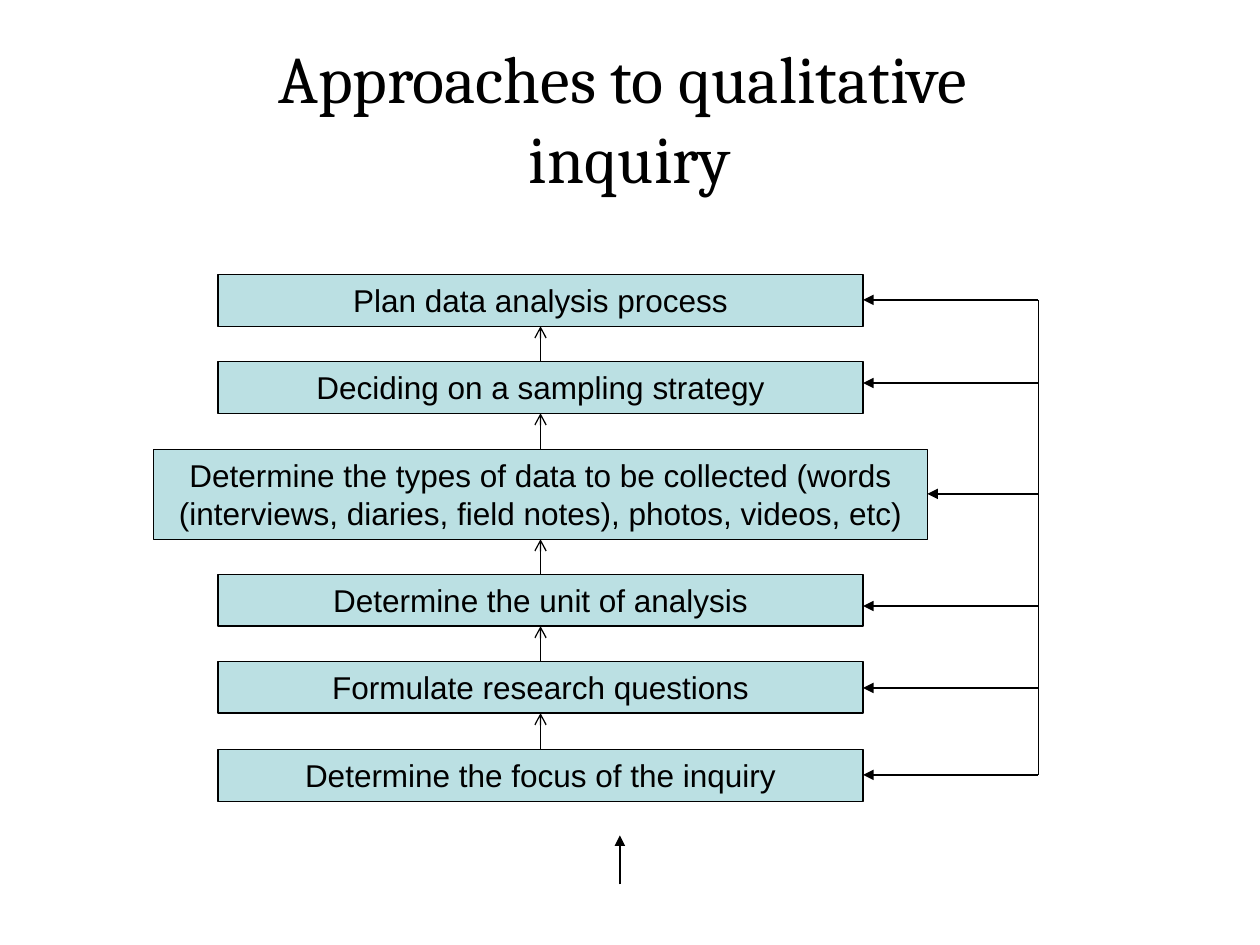
from lxml.etree import SubElement
from pptx import Presentation
from pptx.dml.color import RGBColor
from pptx.enum.shapes import MSO_CONNECTOR, MSO_SHAPE
from pptx.enum.text import MSO_ANCHOR, MSO_AUTO_SIZE, PP_ALIGN
from pptx.oxml.ns import qn
from pptx.util import Inches, Pt

BLACK = RGBColor(0x00, 0x00, 0x00)
PALE_TEAL = RGBColor(0xBB, 0xE0, 0xE3)

CENTER_X = 4.29
FEEDBACK_X = 8.24

# Steps from top to bottom: text, top, width, height, feedback arrow y
STEPS = [
    ("Plan data analysis process", 2.18, 5.12, 0.41, 2.38),
    ("Deciding on a sampling strategy", 2.87, 5.12, 0.41, 3.04),
    ("Determine the types of data to be collected (words "
     "(interviews, diaries, field notes), photos, videos, etc)",
     3.57, 6.14, 0.71, 3.92),
    ("Determine the unit of analysis", 4.56, 5.12, 0.41, 4.81),
    ("Formulate research questions", 5.25, 5.12, 0.41, 5.46),
    ("Determine the focus of the inquiry", 5.95, 5.12, 0.41, 6.15),
]


def add_run(paragraph, text, font_name, size):
    run = paragraph.add_run()
    run.text = text
    run.font.name = font_name
    run.font.size = Pt(size)
    run.font.color.rgb = BLACK


def set_title(slide, lines):
    title = slide.shapes.title
    title.left, title.top = Inches(0.5), Inches(0.3)
    title.width, title.height = Inches(9), Inches(1.25)
    frame = title.text_frame
    frame.auto_size = MSO_AUTO_SIZE.NONE
    frame.vertical_anchor = MSO_ANCHOR.MIDDLE
    paragraph = frame.paragraphs[0]
    paragraph.alignment = PP_ALIGN.CENTER
    for index, line in enumerate(lines):
        if index:
            paragraph.add_line_break()
        add_run(paragraph, line, "Cambria", 38)


def add_step_box(slide, text, top, width, height):
    shape = slide.shapes.add_shape(
        MSO_SHAPE.RECTANGLE, Inches(CENTER_X - width / 2), Inches(top),
        Inches(width), Inches(height))
    shape.shadow.inherit = False
    shape.fill.solid()
    shape.fill.fore_color.rgb = PALE_TEAL
    shape.line.color.rgb = BLACK
    shape.line.width = Pt(0.75)
    frame = shape.text_frame
    frame.word_wrap = True
    frame.auto_size = MSO_AUTO_SIZE.SHAPE_TO_FIT_TEXT
    frame.vertical_anchor = MSO_ANCHOR.TOP
    paragraph = frame.paragraphs[0]
    paragraph.alignment = PP_ALIGN.CENTER
    add_run(paragraph, text, "Arial", 18)


def add_line(slide, start, end, arrowhead=None):
    connector = slide.shapes.add_connector(
        MSO_CONNECTOR.STRAIGHT, *(Inches(value) for value in start + end))
    connector.line.color.rgb = BLACK
    connector.line.width = Pt(0.75)
    if arrowhead:
        SubElement(connector.line._get_or_add_ln(), qn("a:tailEnd"),
                   type=arrowhead)
    SubElement(connector._element.spPr, qn("a:effectLst"))


def main():
    presentation = Presentation()
    presentation.slide_width = Inches(10)
    presentation.slide_height = Inches(7.5)
    slide = presentation.slides.add_slide(presentation.slide_layouts[5])
    set_title(slide, ["Approaches to qualitative ", "inquiry"])

    # Entry arrow below the lowest step
    add_line(slide, (4.92, 7.02), (4.92, 6.63), "triangle")

    # Step boxes, each with an arrow from the feedback line
    for text, top, width, height, feedback_y in STEPS:
        add_step_box(slide, text, top, width, height)
        add_line(slide, (FEEDBACK_X, feedback_y),
                 (CENTER_X + width / 2, feedback_y), "triangle")

    # Vertical feedback line
    add_line(slide, (FEEDBACK_X, STEPS[0][-1]), (FEEDBACK_X, STEPS[-1][-1]))

    # Arrows from each step up to the one above
    for upper, lower in zip(STEPS, STEPS[1:]):
        add_line(slide, (CENTER_X, lower[1]),
                 (CENTER_X, upper[1] + upper[3]), "arrow")

    presentation.save("out.pptx")


if __name__ == "__main__":
    main()
